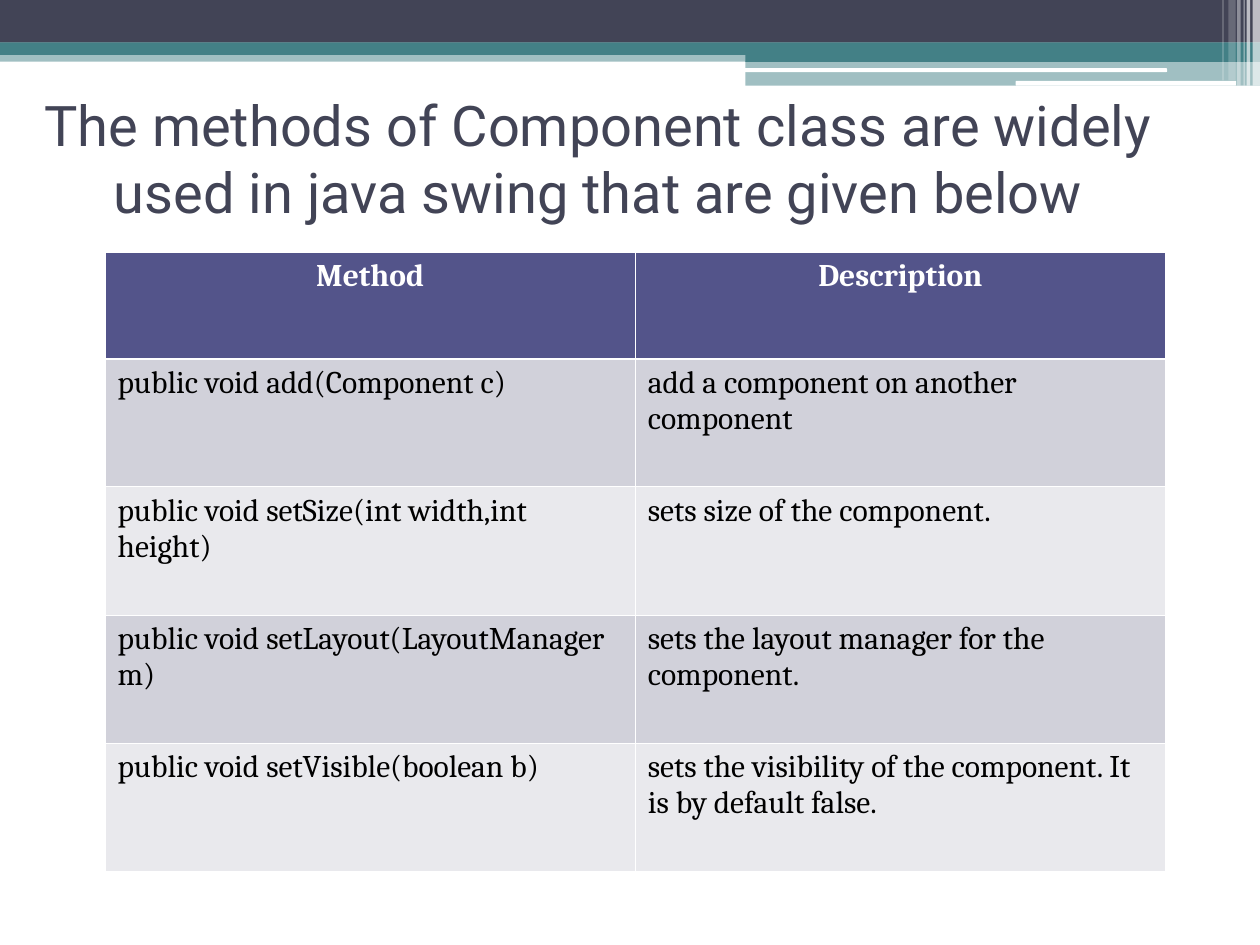
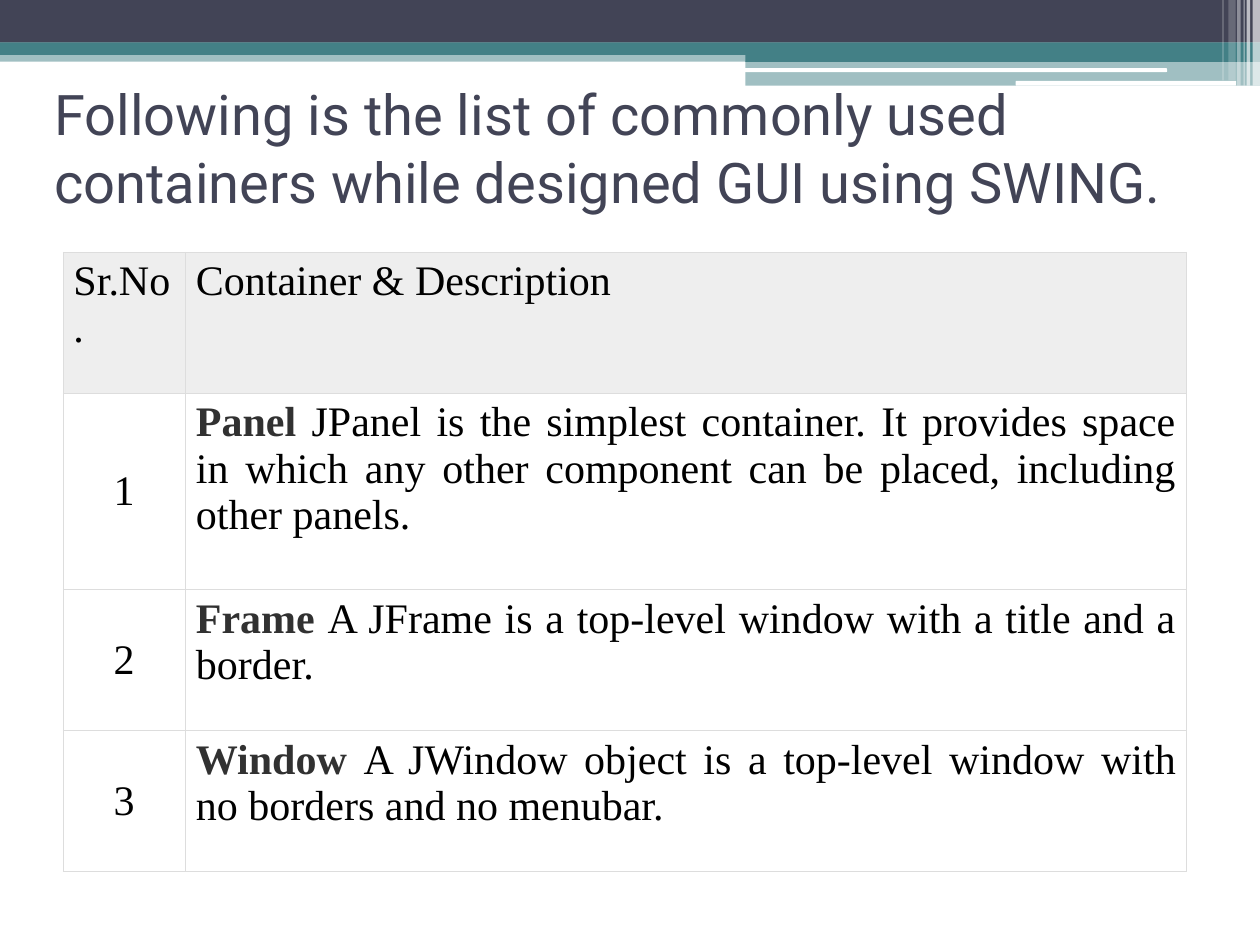
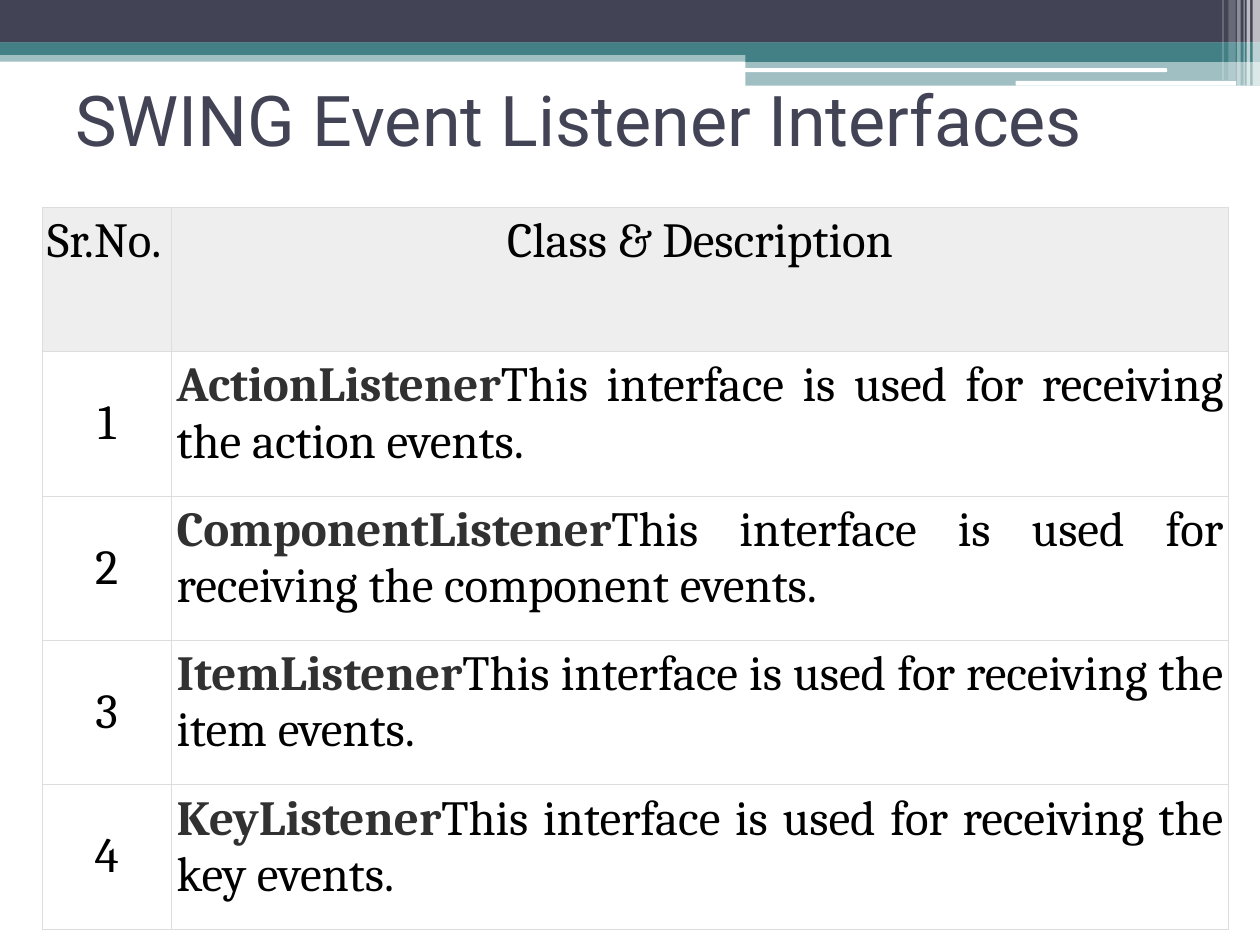
from dataclasses import dataclass

from pptx import Presentation
from pptx.dml.color import RGBColor
from pptx.enum.shapes import MSO_SHAPE
from pptx.enum.text import MSO_ANCHOR, PP_ALIGN
from pptx.oxml.ns import qn
from pptx.util import Pt
from lxml import etree

RECT, ROUND_RECT = MSO_SHAPE.RECTANGLE, MSO_SHAPE.ROUNDED_RECTANGLE
TOP, MIDDLE = MSO_ANCHOR.TOP, MSO_ANCHOR.MIDDLE
LEFT, CENTER, JUSTIFY = PP_ALIGN.LEFT, PP_ALIGN.CENTER, PP_ALIGN.JUSTIFY

WHITE = RGBColor(0xFF, 0xFF, 0xFF)
BLACK = RGBColor(0x00, 0x00, 0x00)
NAVY = RGBColor(0x42, 0x44, 0x56)
TEAL = RGBColor(0x43, 0x80, 0x86)
VIOLET = RGBColor(0x53, 0x54, 0x8A)
BAND_DARK = RGBColor(0xD1, 0xD1, 0xDA)
BAND_LIGHT = RGBColor(0xE9, 0xE9, 0xED)
HEADER_GREY = RGBColor(0xEE, 0xEE, 0xEE)
BORDER_GREY = RGBColor(0xDD, 0xDD, 0xDD)
TERM_GREY = RGBColor(0x31, 0x31, 0x31)

PAGE_WIDTH, PAGE_HEIGHT = 720, 540
TITLE_FONT = "Roboto"

# Header decoration: left, top, width, height, shape, colour, opacity in percent
HEADER_BARS = [
    (0, 28.8, PAGE_WIDTH, 6.5, RECT, TEAL, 50),
    (0, 0, PAGE_WIDTH, 24.4, RECT, NAVY, 100),
    (0, 24.2, PAGE_WIDTH, 7.2, RECT, TEAL, 100),
    (426, 28.2, 294, 7.2, RECT, TEAL, 100),
    (426, 34.8, 294, 14.2, RECT, TEAL, 50),
    (425.5, 39, 241.4, 2.2, ROUND_RECT, WHITE, 100),
    (580.4, 46.2, 126, 2.7, ROUND_RECT, WHITE, 100),
    (715.8, 0, 4.2, 49, RECT, WHITE, 65),
    (712.4, 0, 2, 49, RECT, WHITE, 65),
    (710.6, 0, 0.72, 49, RECT, WHITE, 60),
    (707, 0, 2, 49, RECT, WHITE, 40),
    (702, 0, 4.2, 46, RECT, WHITE, 20),
    (698.5, 0, 0.72, 46, RECT, WHITE, 30),
]

METHODS = [
    ("public void add(Component c)", "add a component on another component"),
    ("public void setSize(int width,int height)", "sets size of the component."),
    ("public void setLayout(LayoutManager m)",
     "sets the layout manager for the component."),
    ("public void setVisible(boolean b)",
     "sets the visibility of the component. It is by default false."),
]
CONTAINERS = [
    ("Panel ", "JPanel is the simplest container. It provides space in which any "
     "other component can be placed, including other panels."),
    ("Frame ", "A JFrame is a top-level window with a title and a border."),
    ("Window ", "A JWindow object is a top-level window with no borders and no "
     "menubar."),
]
LISTENERS = [
    (f"{name}Listener", f"This interface is used for receiving the {name.lower()} events.")
    for name in ("Action", "Component", "Item", "Key")
]


@dataclass
class TableLook:
    font: str
    size: float
    side_margin: float
    border: RGBColor
    border_width: float


@dataclass
class CellText:
    spans: list  # (text, colour, bold)
    align: PP_ALIGN = LEFT
    anchor: MSO_ANCHOR = TOP
    fill: RGBColor = None


def points(box):
    return [Pt(length) for length in box]


def add_span(para, text, font, size, color, bold=False):
    span = para.add_run()
    span.text = text
    span.font.name, span.font.size = font, Pt(size)
    span.font.color.rgb, span.font.bold = color, bold


def add_page(deck):
    page = deck.slides.add_slide(deck.slide_layouts[6])
    for *box, kind, color, opacity in HEADER_BARS:
        bar = page.shapes.add_shape(kind, *points(box))
        bar.shadow.inherit = False
        bar.fill.solid()
        bar.fill.fore_color.rgb = color
        bar.line.fill.background()
        if opacity < 100:
            tint = bar.element.spPr.find(f".//{qn('a:srgbClr')}")
            etree.SubElement(tint, qn("a:alpha"), val=str(opacity * 1000))
    return page


def add_title(page, box, text, size=32, align=LEFT, anchor=MIDDLE):
    frame = page.shapes.add_textbox(*points(box)).text_frame
    frame.word_wrap = True
    frame.vertical_anchor = anchor
    if anchor == TOP:
        frame.margin_top = 0
    para = frame.paragraphs[0]
    para.alignment = align
    add_span(para, text, TITLE_FONT, size, NAVY)


def set_borders(cell, color, widths):
    properties = cell._tc.get_or_add_tcPr()
    for side, width in zip(("lnL", "lnR", "lnT", "lnB"), widths):
        line = etree.SubElement(properties, qn(f"a:{side}"), w=str(Pt(width)))
        fill = etree.SubElement(line, qn("a:solidFill"))
        etree.SubElement(fill, qn("a:srgbClr"), val=str(color))


def add_grid(page, left, top, columns, heights, rows, look, header_rule=None):
    """Place a table; header_rule is the line width below the first row."""
    box = (left, top, sum(columns), sum(heights))
    table = page.shapes.add_table(len(heights), len(columns), *points(box)).table
    table.first_row = table.horz_banding = False
    for column, width in zip(table.columns, columns):
        column.width = Pt(width)
    thin = look.border_width
    rule = header_rule or thin
    for index, (row, height, contents) in enumerate(zip(table.rows, heights, rows)):
        row.height = Pt(height)
        above = rule if index == 1 else thin
        below = rule if index == 0 else thin
        for cell, content in zip(row.cells, contents):
            set_borders(cell, look.border, (thin, thin, above, below))
            cell.margin_left = cell.margin_right = Pt(look.side_margin)
            cell.margin_top = cell.margin_bottom = Pt(3.6)
            cell.vertical_anchor = content.anchor
            if content.fill is None:
                cell.fill.background()
            else:
                cell.fill.solid()
                cell.fill.fore_color.rgb = content.fill
            para = cell.text_frame.paragraphs[0]
            para.alignment = content.align
            for text, color, bold in content.spans:
                add_span(para, text, look.font, look.size, color, bold)


def method_rows():
    rows = [[CellText([(text, WHITE, True)], CENTER, TOP, VIOLET)
             for text in ("Method", "Description")]]
    for index, texts in enumerate(METHODS):
        band = BAND_LIGHT if index % 2 else BAND_DARK
        rows.append([CellText([(text, BLACK, False)], fill=band) for text in texts])
    return rows


def numbered_rows(heading, heading_align, entries):
    rows = [[CellText([("Sr.No.", BLACK, False)], fill=HEADER_GREY),
             CellText([(heading, BLACK, False)], heading_align, TOP, HEADER_GREY)]]
    for number, (term, description) in enumerate(entries, 1):
        rows.append([
            CellText([(str(number), BLACK, False)], CENTER, MIDDLE),
            CellText([(term, TERM_GREY, True), (description, BLACK, False)], JUSTIFY),
        ])
    return rows


def main():
    deck = Presentation()
    deck.slide_width, deck.slide_height = Pt(PAGE_WIDTH), Pt(PAGE_HEIGHT)

    # Component methods
    page = add_page(deck)
    add_title(page, (0, 48, 684, 84), "The methods of Component class are widely used "
              "in java swing that are given below", align=CENTER)
    add_grid(page, 60, 144, [303, 303], [61] + [73.2] * 4, method_rows(),
             TableLook("Cambria", 18, 7.2, WHITE, 0.45), header_rule=1.47)

    # Containers
    page = add_page(deck)
    add_title(page, (24, 42, 648, 84), "Following is the list of commonly used "
              "containers while designed GUI using SWING.")
    add_grid(page, 36, 144, [70, 572], [80.6, 112.2, 80.6, 80.6],
             numbered_rows("Container & Description", LEFT, CONTAINERS),
             TableLook("Times New Roman", 24, 6, BORDER_GREY, 0.34))

    # Event listeners
    page = add_page(deck)
    add_title(page, (36, 43.5, 648, 84), "SWING Event Listener Interfaces",
              size=40, anchor=TOP)
    add_grid(page, 24, 118.4, [74, 604], [82.5] * 5,
             numbered_rows("Class & Description", CENTER, LISTENERS),
             TableLook("Cambria", 28, 3, BORDER_GREY, 0.34))

    deck.save("out.pptx")


if __name__ == "__main__":
    main()
